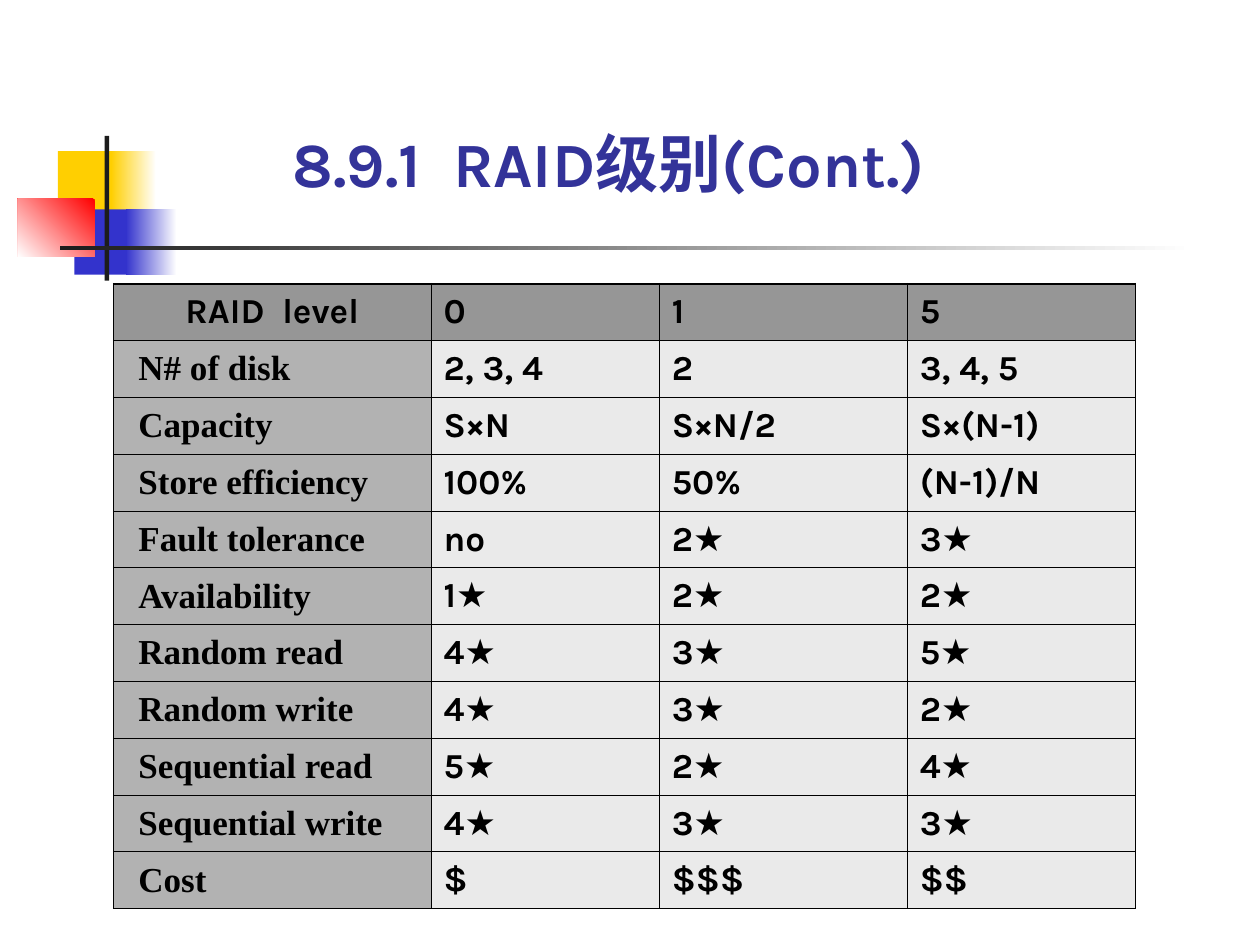
from lxml.etree import SubElement
from pptx import Presentation
from pptx.dml.color import RGBColor
from pptx.enum.shapes import MSO_SHAPE as Preset
from pptx.enum.text import MSO_ANCHOR as Anchor, MSO_AUTO_SIZE as AutoSize, PP_ALIGN as Align
from pptx.oxml.ns import qn
from pptx.util import Cm, Pt

WHITE = RGBColor(0xFF, 0xFF, 0xFF)
BLACK = RGBColor(0x00, 0x00, 0x00)
YELLOW = RGBColor(0xFF, 0xCF, 0x01)
BLUE = RGBColor(0x33, 0x33, 0xCC)
RED = RGBColor(0xFF, 0x00, 0x00)
CHARCOAL = RGBColor(0x1C, 0x1C, 0x1C)
NAVY = RGBColor(0x33, 0x33, 0x99)
HEADER_GREY = RGBColor(0x96, 0x96, 0x96)
LABEL_GREY = RGBColor(0xB2, 0xB2, 0xB2)
VALUE_GREY = RGBColor(0xEA, 0xEA, 0xEA)

SANS, SERIF = "Karla", "Times New Roman"
THICK, THIN = Pt(1.08), Pt(0.45)
COLUMN_WIDTHS = (6.4, 4.6, 5, 4.6)
RAID_LEVELS = (
    ("RAID  level", "0", "1", "5"),
    ("N# of disk", "2, 3, 4", "2", "3, 4, 5"),
    ("Capacity", "S×N", "S×N/2", "S×(N-1)"),
    ("Store efficiency", "100%", "50%", "(N-1)/N"),
    ("Fault tolerance", "no", "2★", "3★"),
    ("Availability", "1★", "2★", "2★"),
    ("Random read", "4★", "3★", "5★"),
    ("Random write", "4★", "3★", "2★"),
    ("Sequential read", "5★", "2★", "4★"),
    ("Sequential write", "4★", "3★", "3★"),
    ("Cost", "$", "$$$", "$$"),
)


def add_block(slide, left, top, width, height, colors, angle=180):
    """Add a borderless rectangle with one colour or a two-colour gradient."""
    shape = slide.shapes.add_shape(Preset.RECTANGLE, Cm(left), Cm(top), Cm(width), Cm(height))
    shape.shadow.inherit = False
    shape.line.fill.background()
    if len(colors) == 1:
        shape.fill.solid()
        shape.fill.fore_color.rgb = colors[0]
        return
    shape.fill.gradient()
    shape.fill.gradient_angle = angle
    for position, (stop, color) in enumerate(zip(shape.fill.gradient_stops, colors)):
        stop.position = position
        stop.color.rgb = color


def add_ornament(slide, left, top):
    """Place the coloured squares and crossing bars from the given corner."""
    add_block(slide, left + 0.81, top + 0.31, 1.22, 1.32, [YELLOW])
    add_block(slide, left + 1.88, top + 0.31, 0.91, 1.32, [WHITE, YELLOW])
    add_block(slide, left + 1.14, top + 1.48, 1.17, 1.32, [BLUE])
    add_block(slide, left + 2.18, top + 1.48, 1.02, 1.32, [WHITE, BLUE])
    add_block(slide, left, top + 1.27, 1.55, 1.17, [RED, WHITE], angle=225)
    add_block(slide, left + 1.75, top, 0.09, 2.92, [CHARCOAL])
    add_block(slide, left + 0.86, top + 2.21, 22.86, 0.09, [WHITE, CHARCOAL])


def add_text(paragraph, text, font_name, size, color):
    """Add one bold run to a paragraph."""
    run = paragraph.add_run()
    run.text = text
    run.font.name = font_name
    run.font.size = Pt(size)
    run.font.bold = True
    run.font.color.rgb = color


def add_title(slide, left, top, width, height):
    """Place the slide title in the given box."""
    box = slide.shapes.add_textbox(Cm(left), Cm(top), Cm(width), Cm(height))
    frame = box.text_frame
    frame.word_wrap = True
    frame.auto_size = AutoSize.SHAPE_TO_FIT_TEXT
    frame.vertical_anchor = Anchor.BOTTOM
    frame.margin_left = frame.margin_right = frame.margin_top = frame.margin_bottom = 0
    add_text(frame.paragraphs[0], "8.9.1  RAID级别(Cont.)", SANS, 36, NAVY)


def set_borders(cell, widths):
    """Draw black borders of the given widths, keyed by side."""
    properties = cell._tc.get_or_add_tcPr()
    for side, width in widths.items():
        line = SubElement(properties, qn(f"a:ln{side}"), w=str(width))
        fill = SubElement(line, qn("a:solidFill"))
        SubElement(fill, qn("a:srgbClr"), val=str(BLACK))


def add_raid_table(slide, left, top, height):
    """Place the RAID comparison table with its heavy frame and header rule."""
    last_row, last_column = len(RAID_LEVELS) - 1, len(COLUMN_WIDTHS) - 1
    table = slide.shapes.add_table(
        last_row + 1, last_column + 1, Cm(left), Cm(top), Cm(sum(COLUMN_WIDTHS)), Cm(height)
    ).table
    table.first_row = table.horz_banding = False
    for column, width in zip(table.columns, COLUMN_WIDTHS):
        column.width = Cm(width)
    for i, texts in enumerate(RAID_LEVELS):
        for j, text in enumerate(texts):
            cell = table.cell(i, j)
            is_label = i > 0 and j == 0
            set_borders(cell, {
                "L": THICK if j == 0 else THIN,
                "R": THICK if j == last_column else THIN,
                "T": THICK if i <= 1 else THIN,
                "B": THICK if i in (0, last_row) else THIN,
            })
            cell.fill.solid()
            cell.fill.fore_color.rgb = HEADER_GREY if i == 0 else LABEL_GREY if is_label else VALUE_GREY
            cell.vertical_anchor = Anchor.MIDDLE
            if is_label:
                cell.margin_left = Cm(0.5)
            paragraph = cell.text_frame.paragraphs[0]
            paragraph.alignment = Align.CENTER if i == j == 0 else Align.LEFT
            add_text(paragraph, text, SERIF if is_label else SANS, 20, BLACK)


def main():
    """Build the RAID levels slide and save it."""
    presentation = Presentation()
    presentation.slide_width, presentation.slide_height = Cm(25.4), Cm(19.05)
    slide = presentation.slides.add_slide(presentation.slide_layouts[6])
    add_ornament(slide, 0.36, 2.74)
    add_title(slide, 5.9, 2.5, 14.65, 1.54)
    add_raid_table(slide, 2.29, 5.72, 12.6)
    presentation.save("out.pptx")


if __name__ == "__main__":
    main()
